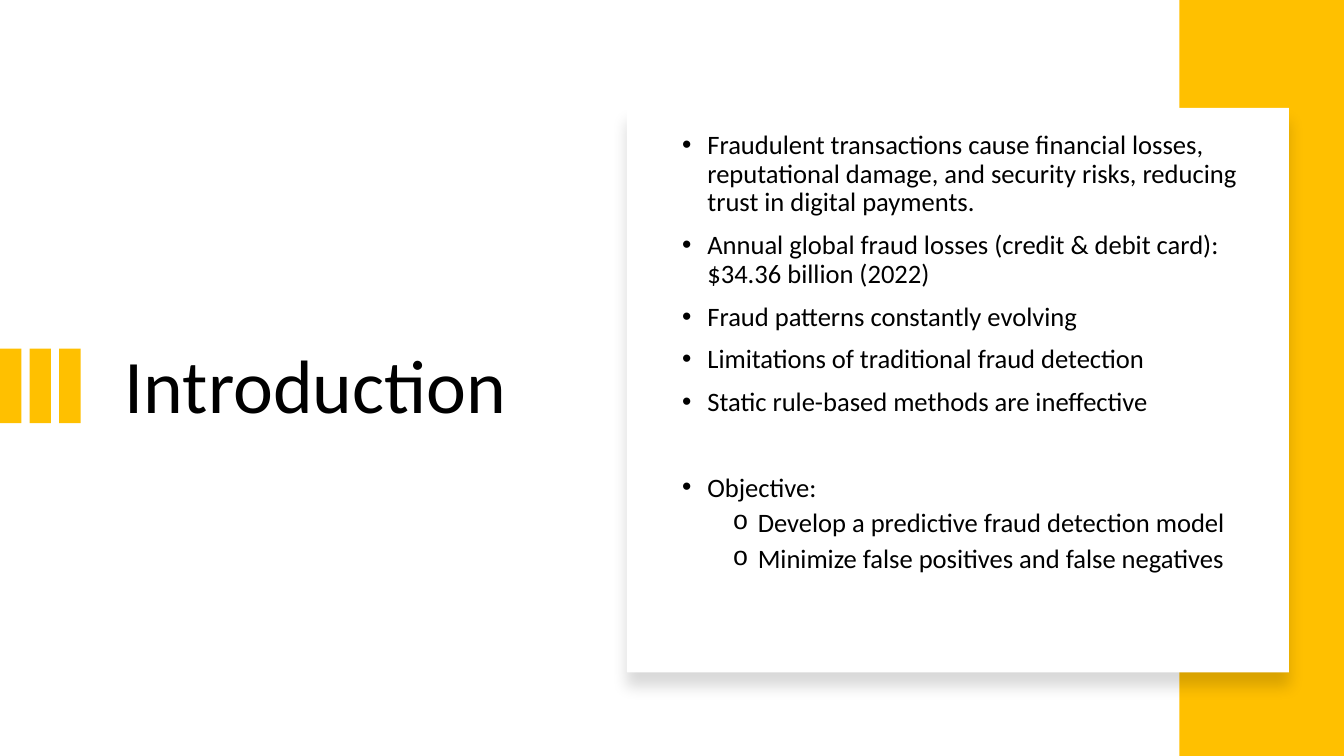
from lxml import etree
from pptx import Presentation
from pptx.dml.color import RGBColor
from pptx.enum.shapes import MSO_SHAPE
from pptx.enum.text import MSO_ANCHOR
from pptx.oxml.ns import qn
from pptx.util import Pt

RECTANGLE = MSO_SHAPE.RECTANGLE
MIDDLE = MSO_ANCHOR.MIDDLE
AMBER = RGBColor(0xFF, 0xC0, 0x00)
WHITE = RGBColor(0xFF, 0xFF, 0xFF)
BLACK = RGBColor(0x00, 0x00, 0x00)
FONT = "Calibri"
PAGE_WIDTH, PAGE_HEIGHT = 960, 540

POINT = {"bullet": "•", "indent": 18, "space": 10}
SUBPOINT = {"bullet": "o", "indent": 54, "space": 5}
AFTER_GAP = {**POINT, "space": 40.5}

POINTS = [
    ("Fraudulent transactions cause financial losses, reputational damage, "
     "and security risks, reducing trust in digital payments.", POINT),
    ("Annual global fraud losses (credit & debit card): $34.36 billion (2022)", POINT),
    ("Fraud patterns constantly evolving", POINT),
    ("Limitations of traditional fraud detection", POINT),
    ("Static rule-based methods are ineffective", POINT),
    ("Objective:", AFTER_GAP),
    ("Develop a predictive fraud detection model", SUBPOINT),
    ("Minimize false positives and false negatives", SUBPOINT),
]


def set_all(target, values):
    for name, value in values.items():
        setattr(target, name, value)


def add_block(page, box, color):
    block = page.shapes.add_shape(RECTANGLE, *map(Pt, box))
    block.shadow.inherit = False
    block.fill.solid()
    block.fill.fore_color.rgb = color
    block.line.fill.background()
    return block


def add_text_frame(page, box, bottom_inset=3.6):
    frame = page.shapes.add_textbox(*map(Pt, box)).text_frame
    set_all(frame, {"word_wrap": True, "vertical_anchor": MIDDLE,
                    "margin_bottom": Pt(bottom_inset)})
    return frame


def write_para(para, text, size, space=0):
    set_all(para, {"line_spacing": 0.9, "space_before": Pt(space)})
    span = para.add_run()
    span.text = text
    set_all(span.font, {"name": FONT, "size": Pt(size)})
    span.font.color.rgb = BLACK


def add_bullet(para, bullet, indent):
    properties = para._p.get_or_add_pPr()
    properties.set("marL", str(Pt(indent)))
    properties.set("indent", str(Pt(-18)))
    typeface = "Courier New" if bullet == "o" else "Arial"
    etree.SubElement(properties, qn("a:buFont"), typeface=typeface)
    etree.SubElement(properties, qn("a:buChar"), char=bullet)


def add_soft_shadow(block):
    effects = block._element.spPr.find(qn("a:effectLst"))
    shadow = etree.SubElement(effects, qn("a:outerShdw"), blurRad=str(Pt(11)),
                              dist=str(Pt(10)), dir="5400000", algn="t", rotWithShape="0")
    color = etree.SubElement(shadow, qn("a:srgbClr"), val=str(BLACK))
    etree.SubElement(color, qn("a:alpha"), val="15000")


def add_title(page, box):
    frame = add_text_frame(page, box)
    write_para(frame.paragraphs[0], "Introduction", 54)


def add_accent_bars(page, box):
    left, top, width, height = box
    bar = 15.3
    step = (width - bar) / 2
    for index in range(3):
        add_block(page, (left + index * step, top, bar, height), AMBER)


def add_card(page, box):
    left, top, width, height = box
    add_soft_shadow(add_block(page, box, WHITE))
    text_box = (left + 32.4, top + 28, width - 59, height - 58.3)
    frame = add_text_frame(page, text_box, bottom_inset=54.6)
    for index, (text, style) in enumerate(POINTS):
        para = frame.add_paragraph() if index else frame.paragraphs[0]
        para.level = int(style is SUBPOINT)
        write_para(para, text, 19, style["space"])
        add_bullet(para, style["bullet"], style["indent"])


def main():
    deck = Presentation()
    set_all(deck, {"slide_width": Pt(PAGE_WIDTH), "slide_height": Pt(PAGE_HEIGHT)})
    page = deck.slides.add_slide(deck.slide_layouts[6])
    add_title(page, (82.1, 105.1, 306.7, 344.9))
    add_accent_bars(page, (0, 249, 57.6, 53.3))
    add_block(page, (842.4, 0, PAGE_WIDTH - 842.4, PAGE_HEIGHT), AMBER)
    add_card(page, (447.8, 77.1, 473, 403.2))
    deck.save("out.pptx")


if __name__ == "__main__":
    main()
